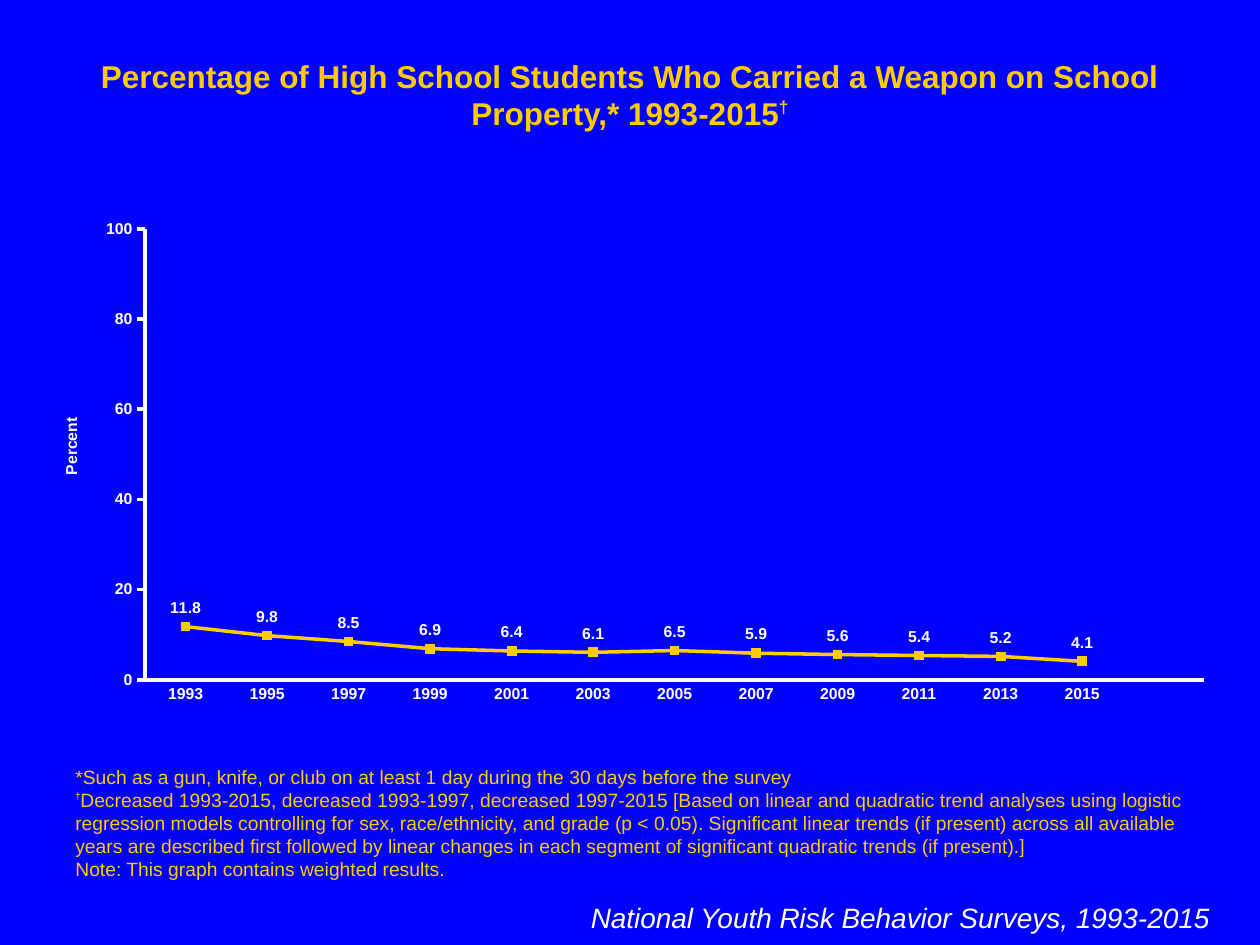
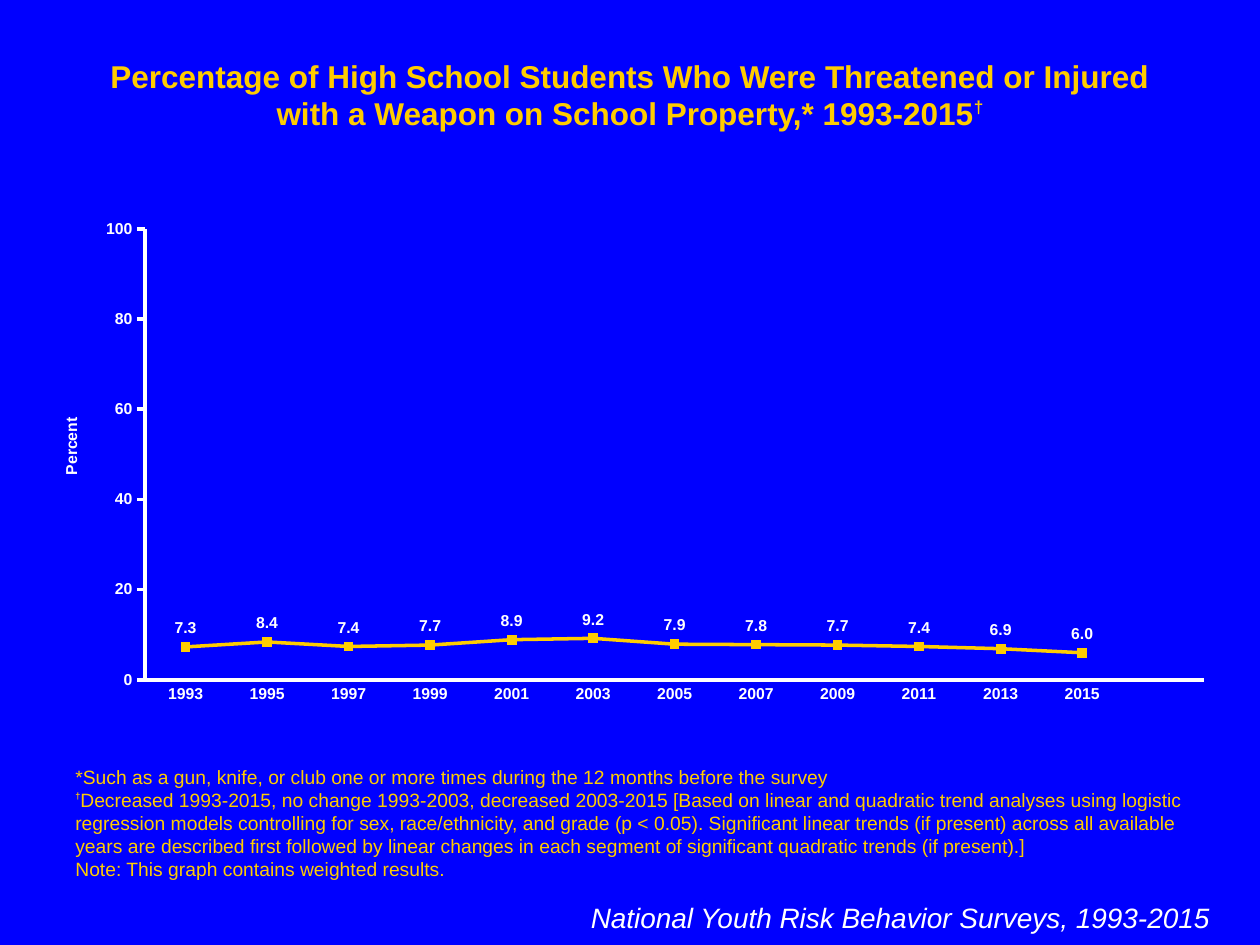
from lxml.etree import SubElement, Element
from pptx import Presentation
from pptx.chart.data import CategoryChartData
from pptx.dml.color import RGBColor
from pptx.enum.chart import XL_CHART_TYPE as ChartType, XL_LABEL_POSITION as LabelPosition
from pptx.enum.chart import XL_MARKER_STYLE as MarkerStyle, XL_TICK_MARK as TickMark
from pptx.enum.text import MSO_ANCHOR as Anchor, MSO_AUTO_SIZE as AutoSize, PP_ALIGN as Align
from pptx.oxml.ns import qn
from pptx.util import Inches, Pt

BLUE, GOLD, WHITE = "0000FF", "FFCC00", "FFFFFF"
FONT = "Arial"
COLUMNS, ROWS, CELL = 100, 75, 0.1
CHART_AREA = (2.5, 16.7, 95, 40)
PLOT_AREA = (9, 1.47, 84.1, 35.8)
PERCENT_TITLE = (2.1, 16.2)
YEARS = [str(year) for year in range(1993, 2016, 2)]
SOURCE = "National Youth Risk Behavior Surveys, 1993-2015"
METHOD = (
    " [Based on linear and quadratic trend analyses using logistic regression models "
    "controlling for sex, race/ethnicity, and grade (p < 0.05). Significant linear trends "
    "(if present) across all available years are described first followed by linear changes "
    "in each segment of significant quadratic trends (if present).]"
)
WEIGHTED = "Note: This graph contains weighted results."

SURVEYS = [
    {
        "title": "Percentage of High School Students Who Carried a Weapon "
                 "on School Property,* 1993-2015",
        "scope": "*Such as a gun, knife, or club on at least 1 day "
                 "during the 30 days before the survey",
        "trend": "Decreased 1993-2015, decreased 1993-1997, decreased 1997-2015",
        "percents": [11.8, 9.8, 8.5, 6.9, 6.4, 6.1, 6.5, 5.9, 5.6, 5.4, 5.2, 4.1],
    },
    {
        "title": "Percentage of High School Students Who Were Threatened or Injured "
                 "with a Weapon on School Property,* 1993-2015",
        "scope": "*Such as a gun, knife, or club one or more times "
                 "during the 12 months before the survey",
        "trend": "Decreased 1993-2015, no change 1993-2003, decreased 2003-2015",
        "percents": [7.3, 8.4, 7.4, 7.7, 8.9, 9.2, 7.9, 7.8, 7.7, 7.4, 6.9, 6.0],
    },
]


def color(hex_code):
    """Turn a hex string into a colour."""
    return RGBColor.from_string(hex_code)


def grid(*cells):
    """Turn grid cells into slide lengths."""
    return [Inches(cell * CELL) for cell in cells]


def style(font, size, hex_code, bold=False, italic=False):
    """Apply the shared typeface with the given look."""
    font.name, font.size = FONT, Pt(size)
    font.bold, font.italic = bold, italic
    font.color.rgb = color(hex_code)


def add_text_box(slide, area, anchor=Anchor.TOP):
    """Add a wrapping box that grows with its text."""
    frame = slide.shapes.add_textbox(*grid(*area)).text_frame
    frame.word_wrap = True
    frame.auto_size = AutoSize.SHAPE_TO_FIT_TEXT
    frame.vertical_anchor = anchor
    return frame


def add_run(paragraph, text, size, hex_code, raised=0, **look):
    """Add a run, raised by a percentage for a superscript."""
    run = paragraph.add_run()
    run.text = text
    style(run.font, size, hex_code, **look)
    if raised:
        run.font._element.set("baseline", str(raised * 1000))


def add_title(slide, text):
    """Add the centred headline with its dagger."""
    headline = add_text_box(slide, (5, 4, 90, 4)).paragraphs[0]
    headline.alignment = Align.CENTER
    add_run(headline, text, 18, GOLD, bold=True)
    add_run(headline, "†", 17, GOLD, raised=40, bold=True)


def add_footnotes(slide, scope, trend):
    """Add the notes that rise from the foot of the slide."""
    notes = add_text_box(slide, (5, 67.5, 90, 2.9), Anchor.BOTTOM)
    add_run(notes.paragraphs[0], scope, 11, GOLD)
    trend_note = notes.add_paragraph()
    add_run(trend_note, "†", 9, GOLD, raised=50, bold=True)
    add_run(trend_note, trend + METHOD, 11, GOLD)
    add_run(notes.add_paragraph(), WEIGHTED, 11, GOLD)


def add_source(slide):
    """Add the survey name at the lower right."""
    source = add_text_box(slide, (45.3, 71, 51.7, 3.7)).paragraphs[0]
    source.alignment = Align.RIGHT
    add_run(source, SOURCE, 16, WHITE, italic=True)


def manual_layout(parent, shares, inner=False):
    """Build a chart layout from shares of the chart area."""
    for old_layout in parent.findall(qn("c:layout")):
        parent.remove(old_layout)
    layout = Element(qn("c:layout"))
    manual = SubElement(layout, qn("c:manualLayout"))
    settings = [("layoutTarget", "inner")] if inner else []
    settings += [("xMode", "edge"), ("yMode", "edge")]
    settings += zip("xywh", (f"{share:.4f}" for share in shares))
    for tag, value in settings:
        SubElement(manual, qn(f"c:{tag}")).set("val", value)
    return layout


def chart_shares(cells):
    """Express cells as shares of the chart's width and height."""
    return [cell / CHART_AREA[2 + index % 2] for index, cell in enumerate(cells)]


def style_line(line, hex_code):
    """Draw a two-point line."""
    line.color.rgb = color(hex_code)
    line.width = Pt(2)


def style_axis(axis, tick_mark):
    """Give an axis white lines and bold white labels."""
    axis.has_major_gridlines = False
    axis.major_tick_mark, axis.minor_tick_mark = tick_mark, TickMark.NONE
    style(axis.tick_labels.font, 9, WHITE, bold=True)
    style_line(axis.format.line, WHITE)


def style_percent_axis(axis):
    """Scale and title the percent axis."""
    style_axis(axis, TickMark.OUTSIDE)
    axis.minimum_scale, axis.maximum_scale, axis.major_unit = 0, 100, 20
    axis.tick_labels.number_format = "#,##0"
    axis.tick_labels.number_format_is_linked = False
    axis_title = axis.axis_title
    axis_title.text_frame.text = "Percent"
    style(axis_title.text_frame.paragraphs[0].runs[0].font, 9, WHITE, bold=True)
    element = axis_title._element
    layout = manual_layout(element, chart_shares(PERCENT_TITLE))
    element.find(qn("c:tx")).addnext(layout)


def style_trend(plot):
    """Draw the gold trend with square markers and values above."""
    trend = plot.series[0]
    trend.smooth = False
    style_line(trend.format.line, GOLD)
    trend.marker.style, trend.marker.size = MarkerStyle.SQUARE, 5
    trend.marker.format.fill.solid()
    trend.marker.format.fill.fore_color.rgb = color(GOLD)
    trend.marker.format.line.color.rgb = color(GOLD)
    labels = trend.data_labels
    labels.show_value, labels.position = True, LabelPosition.ABOVE
    labels.number_format, labels.number_format_is_linked = "#,##0.0", False
    style(labels.font, 9, WHITE, bold=True)


def add_trend_chart(slide, percents):
    """Add the line chart, with an empty last category."""
    data = CategoryChartData()
    data.categories = YEARS + [""]
    data.add_series("Series 1", percents + [None])
    chart = slide.shapes.add_chart(ChartType.LINE_MARKERS, *grid(*CHART_AREA), data).chart
    chart.has_legend = chart.has_title = False
    style(chart.font, 18, WHITE)
    style_axis(chart.category_axis, TickMark.NONE)
    style_percent_axis(chart.value_axis)
    plot = chart.plots[0]
    plot.vary_by_categories = False
    style_trend(plot)
    plot_area = plot._element.getparent()
    plot_area.insert(0, manual_layout(plot_area, chart_shares(PLOT_AREA), inner=True))


def add_survey_slide(deck, survey):
    """Add one survey question with its trend."""
    slide = deck.slides.add_slide(deck.slide_layouts[6])
    slide.background.fill.solid()
    slide.background.fill.fore_color.rgb = color(BLUE)
    add_title(slide, survey["title"])
    add_footnotes(slide, survey["scope"], survey["trend"])
    add_source(slide)
    add_trend_chart(slide, survey["percents"])


def main():
    """Build and save the deck."""
    deck = Presentation()
    deck.slide_width, deck.slide_height = grid(COLUMNS, ROWS)
    for survey in SURVEYS:
        add_survey_slide(deck, survey)
    deck.save("out.pptx")


if __name__ == "__main__":
    main()
